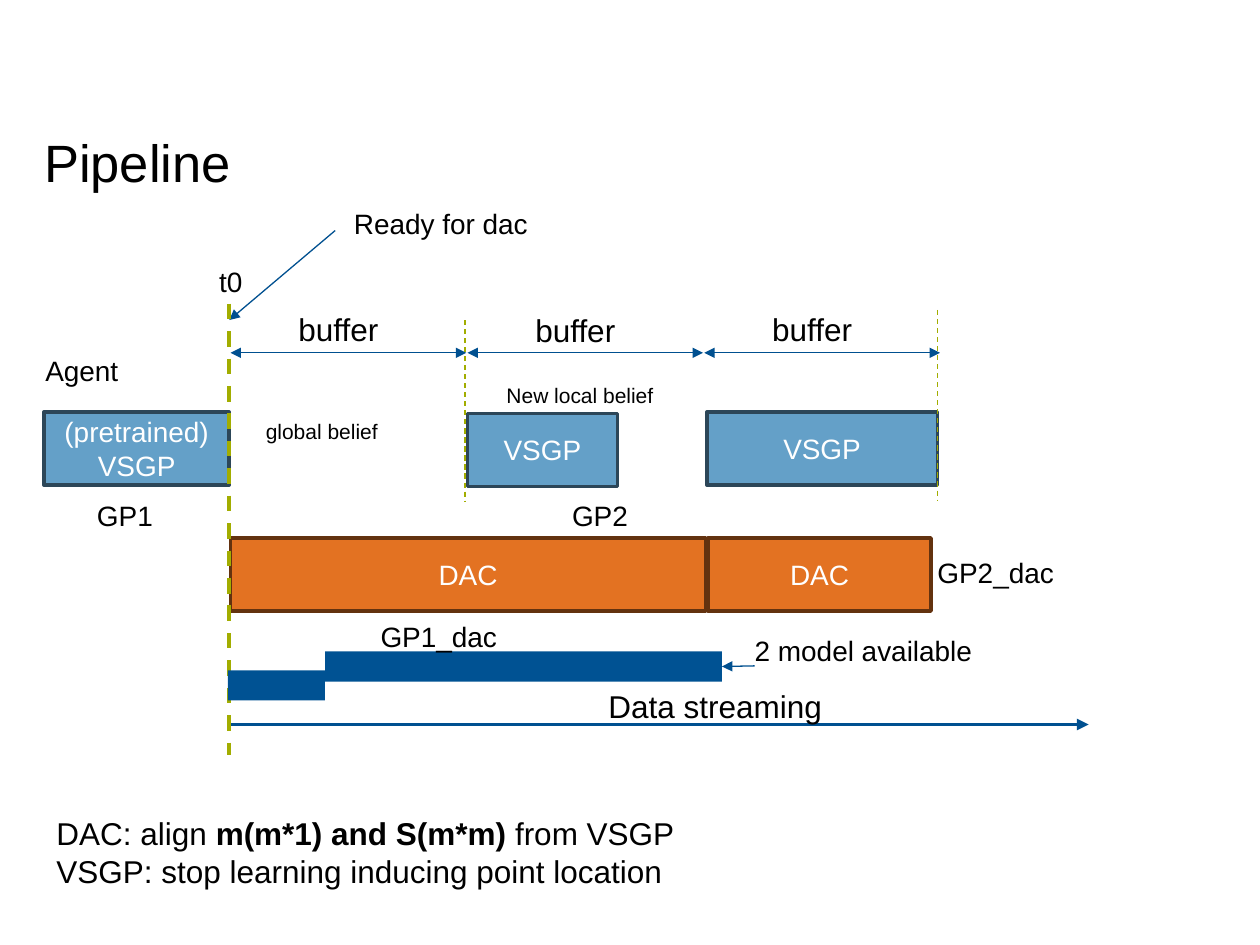
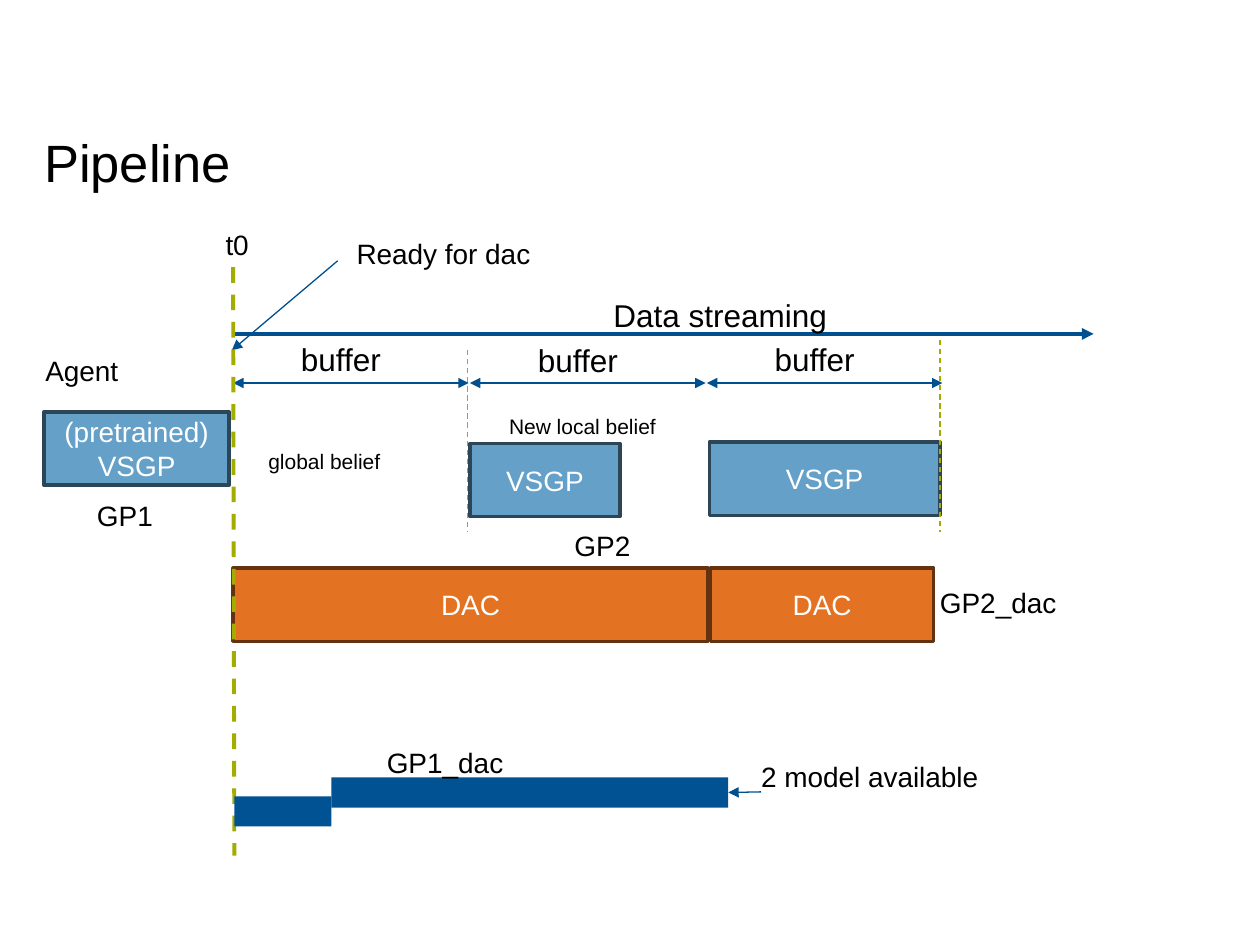
from dataclasses import dataclass

from lxml import etree
from pptx import Presentation
from pptx import util as u
from pptx.dml import color
from pptx.enum import dml, shapes, text
from pptx.oxml import ns

PX = 9144  # EMU in one px, 100 px to the inch
FONT = "Arial"
HEX = {
    "ink": "000000", "paper": "FFFFFF",
    "sky": "64A0C8", "slate": "2C4658",
    "orange": "E37222", "brown": "63320F",
    "navy": "005293", "blue": "005090", "olive": "A2AD00",
}


@dataclass
class Box:
    x: int
    y: int
    w: int
    h: int = 58
    words: str = ""
    fill: str = "sky"
    edge: str = "slate"
    key: str = ""


@dataclass
class Label:
    x: int
    y: int
    w: int
    h: int
    words: str
    size: int = 16
    inset: bool = False
    space: float | u.Pt | None = 1.14
    key: str = ""


@dataclass
class Line:
    x1: int
    y1: int
    x2: int
    y2: int
    tint: str = "blue"
    width: float = 0.75
    dash: bool = False
    head: bool = False
    tail: bool = True
    start: str = ""  # key of the shape joined at its left side
    end: str = ""  # key of the shape joined at its right side


def rgb(name: str) -> color.RGBColor:
    return color.RGBColor.from_string(HEX[name])


def style(par, size: int, tint: str) -> None:
    par.font.name = FONT
    par.font.size = u.Pt(size)
    par.font.color.rgb = rgb(tint)


def put_box(slide, b: Box, dx: int, dy: int):
    shape = slide.shapes.add_shape(
        shapes.MSO_SHAPE.RECTANGLE,
        *(v * PX for v in (b.x + dx, b.y + dy, b.w, b.h)))
    shape.shadow.inherit = False
    shape.fill.solid()
    shape.fill.fore_color.rgb = rgb(b.fill)
    if b.edge:
        shape.line.color.rgb = rgb(b.edge)
        shape.line.width = u.Pt(2)
    else:
        shape.line.fill.background()
    if b.words:
        frame = shape.text_frame
        frame.word_wrap = True
        frame.vertical_anchor = text.MSO_ANCHOR.MIDDLE
        par = frame.paragraphs[0]
        par.text = b.words
        par.alignment = text.PP_ALIGN.CENTER
        style(par, 16, "paper")
    return shape


def put_label(slide, t: Label, dx: int, dy: int):
    shape = slide.shapes.add_textbox(
        *(v * PX for v in (t.x + dx, t.y + dy, t.w, t.h)))
    frame = shape.text_frame
    frame.word_wrap = True
    if not t.inset:
        frame.margin_left = frame.margin_right = 0
        frame.margin_top = frame.margin_bottom = 0
    par = frame.paragraphs[0]
    par.text = t.words
    par.line_spacing = t.space
    style(par, t.size, "ink")
    return shape


def put_line(slide, l: Line, dx: int, dy: int, made: dict):
    link = slide.shapes.add_connector(
        shapes.MSO_CONNECTOR.STRAIGHT,
        *(v * PX for v in (l.x1 + dx, l.y1 + dy, l.x2 + dx, l.y2 + dy)))
    link.line.color.rgb = rgb(l.tint)
    link.line.width = u.Pt(l.width)
    if l.dash:
        link.line.dash_style = dml.MSO_LINE.DASH
    if l.start:
        link.begin_connect(made[l.start], 1)
    if l.end:
        link.end_connect(made[l.end], 3)
    # Arrowheads, and no shadow
    stroke = link.line._get_or_add_ln()
    for tag, shown in (("a:headEnd", l.head), ("a:tailEnd", l.tail)):
        if shown:
            etree.SubElement(stroke, ns.qn(tag), type="triangle")
    etree.SubElement(link._element.spPr, ns.qn("a:effectLst"))
    return link


def draw(slide, parts: list, dx: int = 0, dy: int = 0) -> None:
    made = {}
    for part in parts:
        if isinstance(part, Line):
            put_line(slide, part, dx, dy, made)
            continue
        put = put_box if isinstance(part, Box) else put_label
        made[part.key] = put(slide, part, dx, dy)


def buffer(x: int, y: int) -> list:
    """A span of the stream with its caption."""
    return [
        Line(x, 280, x + 187, 280, head=True),
        Label(x + 44, y, 101, 40, "buffer", 18, True, None),
    ]


def dac(x: int, w: int) -> Box:
    return Box(x, 427, w, words="DAC", fill="orange", edge="brown")


def rule(x: int, top: int) -> Line:
    return Line(x, top, x, 398, "olive", dash=True, tail=False)


# Title and the pretrained agent
AGENT = [
    Label(35, 109, 931, 45, "Pipeline", 30, space=u.Pt(32)),
    Box(35, 327, 147, words="(pretrained) VSGP"),
    Label(36, 277, 102, 28, "Agent"),
    Label(77, 392, 63, 28, "GP1"),
]

# Buffers with the learning and DAC steps below them
FLOW = [
    dac(183, 377), dac(562, 177),
    Box(561, 327, 183, words="VSGP"),
    rule(369, 254),
    *buffer(183, 241), *buffer(371, 242), *buffer(559, 241),
    rule(744, 246),
    Box(371, 328, 119, words="VSGP"),
    Label(402, 301, 126, 21, "New local belief", 12),
    Label(211, 329, 126, 21, "global belief", 12),
    Label(454, 392, 67, 28, "GP2"),
    Label(744, 437, 99, 28, "GP2_dac"),
    Line(266, 183, 182, 254),
    Label(281, 160, 153, 28, "Ready for dac"),
]

# Data stream
STREAM = [
    Line(182, 575, 864, 575, width=2.25),
    Label(473, 540, 310, 40, "Data streaming", 18, True, None),
]

# Bars of the available models
MODELS = [
    Box(181, 532, 77, 24, fill="navy", edge=""),
    Box(258, 517, 315, 24, fill="navy", edge="", key="bar"),
    Label(302, 488, 99, 28, "GP1_dac"),
    Label(599, 499, 184, 59, "2 model available", key="note"),
    Line(599, 529, 573, 529, start="note", end="bar"),
]


def start_mark(x1: int, y1: int, x2: int, y2: int, left: int) -> list:
    """The t0 line and its caption."""
    return [
        Line(x1, y1, x2, y2, "olive", 2.25, dash=True, tail=False),
        Label(left, y1 - 35, 40, 28, "t0"),
    ]


def put_notes(slide) -> None:
    lines = [
        [("DAC: align ", False), ("m(m*1) and S(m*m) ", True),
         ("from VSGP", False)],
        [("VSGP: stop learning inducing point location", False)],
    ]
    box = slide.shapes.add_textbox(*(v * PX for v in (35, 641, 810, 71)))
    frame = box.text_frame
    frame.word_wrap = True
    for i, runs in enumerate(lines):
        par = frame.add_paragraph() if i else frame.paragraphs[0]
        style(par, 18, "ink")
        for words, bold in runs:
            run = par.add_run()
            run.text = words
            run.font.bold = bold


def main() -> None:
    deck = Presentation()
    deck.slide_width, deck.slide_height = 1000 * PX, 750 * PX
    blank = deck.slide_layouts[6]

    # Stream below the steps
    first = deck.slides.add_slide(blank)
    draw(first, AGENT)
    draw(first, FLOW)
    draw(first, STREAM)
    draw(first, start_mark(182, 241, 182, 599, 174))
    draw(first, MODELS)
    put_notes(first)

    # Stream above the steps
    second = deck.slides.add_slide(blank)
    draw(second, AGENT)
    draw(second, FLOW, 2, 24)
    draw(second, STREAM, 4, -310)
    draw(second, start_mark(185, 212, 186, 679, 179))
    draw(second, MODELS, 5, 100)

    deck.save("out.pptx")


if __name__ == "__main__":
    main()
